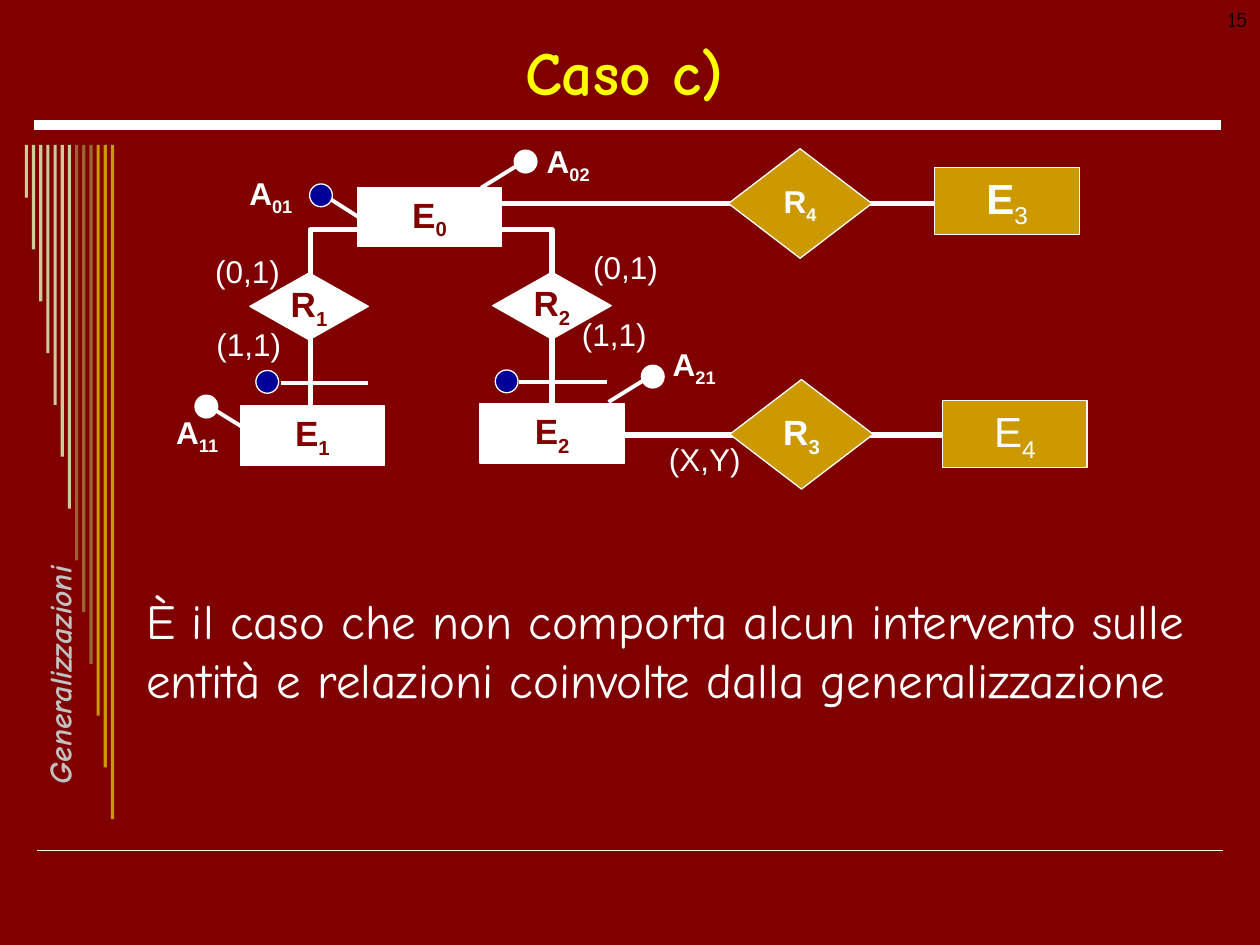
from pptx import Presentation
from pptx.dml.color import RGBColor
from pptx.enum.shapes import MSO_CONNECTOR, MSO_SHAPE
from pptx.enum.text import MSO_ANCHOR, MSO_AUTO_SIZE, PP_ALIGN
from pptx.oxml.ns import qn
from pptx.util import Pt
from lxml import etree

MAROON = RGBColor(0x80, 0x00, 0x00)
WHITE = RGBColor(0xFF, 0xFF, 0xFF)
YELLOW = RGBColor(0xFF, 0xFF, 0x00)
BLACK = RGBColor(0x00, 0x00, 0x00)
SILVER = RGBColor(0xC0, 0xC0, 0xC0)
NAVY = RGBColor(0x00, 0x00, 0x99)
GOLD = RGBColor(0xCC, 0x99, 0x00)
BROWN = RGBColor(0x99, 0x66, 0x33)
SAND = RGBColor(0xCC, 0xCC, 0x99)

HEADING_FONT = "Comic Neue"
DIAGRAM_FONT = "Arial"


def points(*values):
    return [Pt(value) for value in values]


def format_paragraph(paragraph, font_name, size, color, bold=False, align=PP_ALIGN.LEFT):
    paragraph.alignment = align
    paragraph.space_before = Pt(0)
    font = paragraph.font
    font.name, font.size, font.bold = font_name, Pt(size), bold
    font.color.rgb = color


def write_label(paragraph, base, subscript=""):
    paragraph.add_run().text = base
    if subscript:
        run = paragraph.add_run()
        run.text = subscript
        run._r.get_or_add_rPr().set("baseline", "-25000")


def add_line(slide, start, end, width):
    line = slide.shapes.add_connector(
        MSO_CONNECTOR.STRAIGHT, *points(*start, *end))
    line.line.color.rgb = WHITE
    line.line.width = Pt(width)
    etree.SubElement(line._element.spPr, qn("a:effectLst"))


def add_filled(slide, kind, box, fill, outlined=True):
    shape = slide.shapes.add_shape(kind, *points(*box))
    shape.shadow.inherit = False
    shape.fill.solid()
    shape.fill.fore_color.rgb = fill
    if outlined:
        shape.line.color.rgb = WHITE
        shape.line.width = Pt(0.75)
    else:
        shape.line.fill.background()
    return shape


def add_node(slide, kind, box, base, subscript, fill, size=20, bold=True):
    """Entity rectangle or relationship diamond with its name."""
    shape = add_filled(slide, kind, box, fill)
    frame = shape.text_frame
    frame.word_wrap = False
    frame.vertical_anchor = MSO_ANCHOR.MIDDLE
    paragraph = frame.paragraphs[0]
    color = MAROON if fill == WHITE else WHITE
    format_paragraph(paragraph, DIAGRAM_FONT, size, color, bold, PP_ALIGN.CENTER)
    write_label(paragraph, base, subscript)
    return shape


def add_dot(slide, left, top, fill):
    add_filled(slide, MSO_SHAPE.OVAL, (left, top, 13, 13), fill)


def add_text(slide, box, base, subscript="", font_name=DIAGRAM_FONT, size=18,
             color=WHITE, bold=False, align=PP_ALIGN.LEFT):
    text_box = slide.shapes.add_textbox(*points(*box))
    text_box.text_frame.word_wrap = True
    paragraph = text_box.text_frame.paragraphs[0]
    format_paragraph(paragraph, font_name, size, color, bold, align)
    write_label(paragraph, base, subscript)
    return text_box


def fill_placeholder(placeholder, box, text, size, color, bold, align, anchor):
    placeholder.left, placeholder.top, placeholder.width, placeholder.height = points(*box)
    frame = placeholder.text_frame
    frame.auto_size = MSO_AUTO_SIZE.NONE
    frame.vertical_anchor = anchor
    paragraph = frame.paragraphs[0]
    paragraph_properties = paragraph._p.get_or_add_pPr()
    paragraph_properties.set("marL", "0")
    paragraph_properties.set("indent", "0")
    etree.SubElement(paragraph_properties, qn("a:buNone"))
    format_paragraph(paragraph, HEADING_FONT, size, color, bold, align)
    write_label(paragraph, text)


def add_decoration(slide):
    # Rules under the title and at the foot
    add_line(slide, (21, 486), (699, 486), 1)
    add_line(slide, (19.5, 71.5), (697.5, 71.5), 6)
    # Staircase of vertical bars
    for index, color in enumerate([SAND] * 7 + [BROWN] * 3 + [GOLD] * 3):
        bar = (14.2 + 4.1 * index, 82.8, 1.8, 30.2 + 29.6 * index)
        add_filled(slide, MSO_SHAPE.RECTANGLE, bar, color, outlined=False)
    # Sideways section name
    section = add_text(slide, (-54, 377.3, 164.2, 17.3), "Generalizzazioni",
                       font_name=HEADING_FONT, color=SILVER, bold=True,
                       align=PP_ALIGN.CENTER)
    section.text_frame.paragraphs[0].font.italic = True
    section.rotation = 270


def add_branches(slide):
    """Path from E1 up through E0 and down to E2."""
    builder = slide.shapes.build_freeform(*points(177.3, 240))
    corners = [(177.3, 131.3), (315.4, 131.3), (315.4, 232.5)]
    builder.add_line_segments([points(*corner) for corner in corners], close=False)
    path = builder.convert_to_shape()
    path.shadow.inherit = False
    path.fill.background()
    path.line.color.rgb = WHITE
    path.line.width = Pt(3)


def add_diagram(slide):
    add_branches(slide)

    # Attribute stems, hidden at one end by entities and dots
    for start, end in [((143.3, 247), (118.8, 231.8)), ((347.8, 229.7), (372.2, 214.6)),
                       ((208, 126), (184.3, 110.9)), ((275, 107.3), (299.5, 92.2))]:
        add_line(slide, start, end, 2.25)

    # White entities and relationships
    for left, top, number in [(204.2, 107.1, "0"), (137.3, 232.1, "1"), (274.3, 230.8, "2")]:
        add_node(slide, MSO_SHAPE.RECTANGLE, (left, top, 82.4, 33.8), "E", number, WHITE)
    for left, top, number in [(142.8, 156, "1"), (281.6, 155.6, "2")]:
        add_node(slide, MSO_SHAPE.DIAMOND, (left, top, 67.7, 38.2), "R", number, WHITE)

    # Attribute dots: navy ones belong to identifiers
    for left, top, fill in [(111.4, 225.8, WHITE), (366.5, 208.7, WHITE), (293.8, 85.8, WHITE),
                            (176.9, 105.1, NAVY), (146.2, 211.7, NAVY), (283, 211.4, NAVY)]:
        add_dot(slide, left, top, fill)

    # Identifier bars
    add_line(slide, (160.5, 218.7), (210.3, 218.7), 2.25)
    add_line(slide, (296.8, 218.1), (346.8, 218.1), 2.25)

    # Attribute names
    for left, top, number in [(93.6, 232.6, "11"), (135.4, 95.8, "01"),
                              (305.3, 77.8, "02"), (377.3, 193.7, "21")]:
        add_text(slide, (left, top, 53.3, 31.7), "A", number, bold=True)

    # Links to the outer relationships
    add_line(slide, (342.7, 248.6), (596.9, 248.6), 3)
    add_line(slide, (280.8, 116.5), (545, 116.5), 3)

    # Gold relationships and entities
    add_node(slide, MSO_SHAPE.DIAMOND, (416.2, 85, 82, 62.6), "R", "4", GOLD, 18)
    add_node(slide, MSO_SHAPE.DIAMOND, (417, 216.9, 82, 62.6), "R", "3", GOLD)
    third = add_node(slide, MSO_SHAPE.RECTANGLE, (534.2, 95.7, 82.6, 38.2), "E", "3", GOLD, 24)
    third.text_frame.paragraphs[0].runs[1].font.bold = False
    add_node(slide, MSO_SHAPE.RECTANGLE, (538.6, 229, 82.6, 38.2), "E", "4", GOLD, 24, False)

    # Cardinalities
    for left, top, text in [(115.9, 140.4, "(0,1)"), (331.9, 138.2, "(0,1)"),
                            (116.6, 182.2, "(1,1)"), (325.4, 176.4, "(1,1)"),
                            (375.1, 247.7, "(X,Y)")]:
        add_text(slide, (left, top, 56.2, 28.8), text)


def main():
    presentation = Presentation()
    presentation.slide_width, presentation.slide_height = points(720, 540)
    slide = presentation.slides.add_slide(presentation.slide_layouts[1])
    slide.background.fill.solid()
    slide.background.fill.fore_color.rgb = MAROON

    add_decoration(slide)
    fill_placeholder(slide.shapes.title, (25.2, 15.1, 663.1, 51.1), "Caso c)",
                     35, YELLOW, True, PP_ALIGN.CENTER, MSO_ANCHOR.MIDDLE)
    fill_placeholder(slide.placeholders[1], (76.3, 334.1, 613.4, 146.2),
                     "È il caso che non comporta alcun intervento sulle entità "
                     "e relazioni coinvolte dalla generalizzazione",
                     28, WHITE, False, PP_ALIGN.LEFT, MSO_ANCHOR.TOP)
    add_diagram(slide)
    # Page number
    add_text(slide, (552.2, 0, 167.8, 36), "15", font_name=HEADING_FONT, size=12,
             color=BLACK, align=PP_ALIGN.RIGHT)

    presentation.save("out.pptx")


if __name__ == "__main__":
    main()
